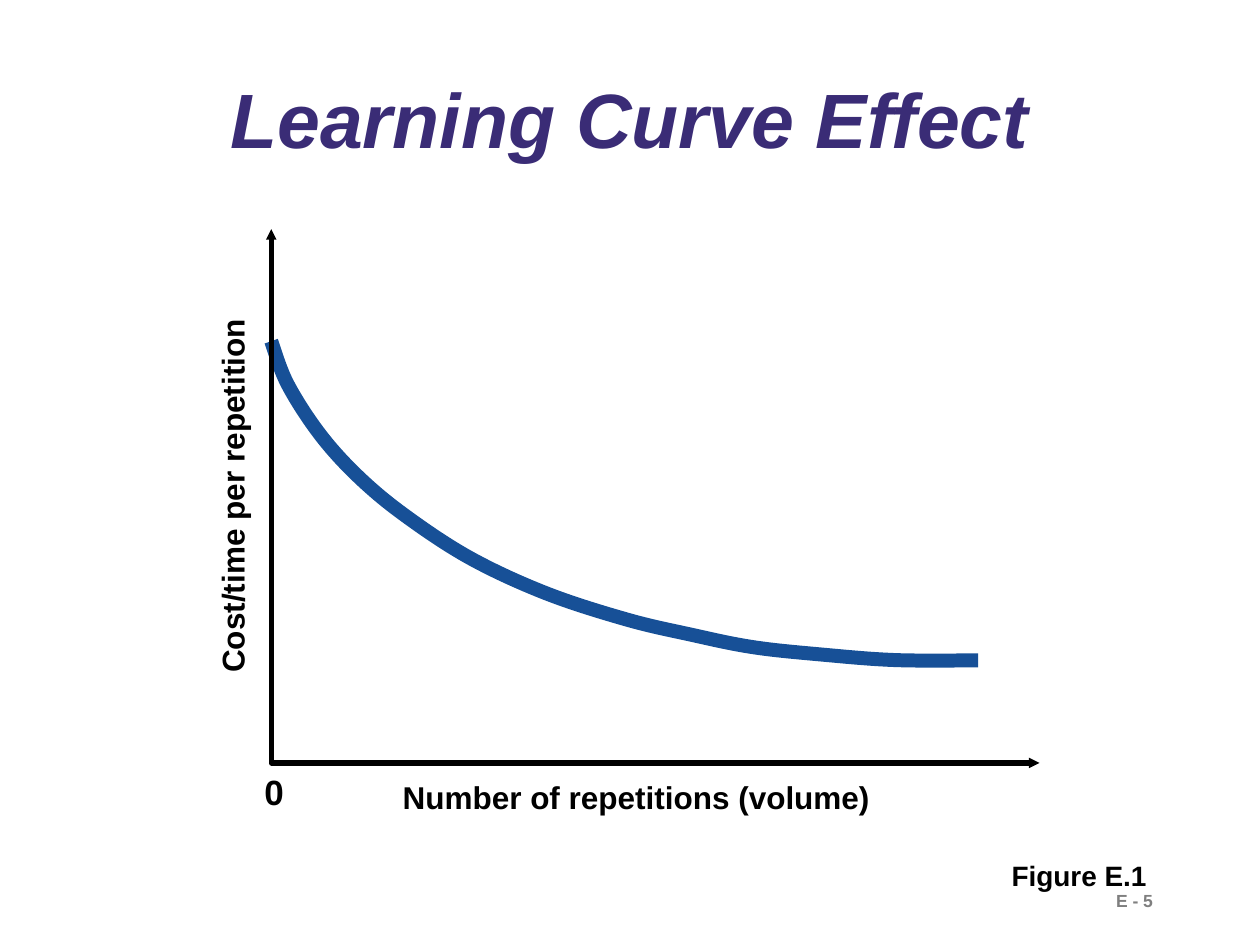
from dataclasses import dataclass

from lxml.etree import SubElement
from pptx import Presentation
from pptx.dml.color import RGBColor
from pptx.enum.text import MSO_ANCHOR, MSO_AUTO_SIZE, PP_ALIGN
from pptx.oxml.ns import qn
from pptx.util import Pt


@dataclass(frozen=True)
class Theme:
    """Colours, font and type sizes of the slide."""
    font: str = "Arial"
    ink: str = "000000"
    head: str = "3A2C76"
    curve: str = "175097"
    grey: str = "7F7F7F"
    title: int = 44
    zero: int = 20
    label: int = 18
    figure: int = 16
    page: int = 10


THEME = Theme()
KNOTS = [(0, 64), (9.4, 88.6), (28, 117.4), (50.4, 142), (77, 164), (113.8, 188),
         (157, 208), (203, 223), (239, 231.5), (275, 238.8), (314, 243),
         (356.4, 246.2), (404, 246.4)]


def write(shape, text, size, color=THEME.ink, italic=False, align=PP_ALIGN.LEFT):
    """Put one bold line of text into a shape."""
    para = shape.text_frame.paragraphs[0]
    para.alignment = align
    run = para.add_run()
    run.text = text
    font = run.font
    font.name, font.size = THEME.font, Pt(size)
    font.bold, font.italic = True, italic
    font.color.rgb = RGBColor.from_string(color)
    return para


def label(slide, box, text, size, color=THEME.ink, turn=0):
    """Add a one-line text box, of fixed size if it is turned."""
    shape = slide.shapes.add_textbox(*map(Pt, box))
    shape.rotation = turn
    frame = shape.text_frame
    frame.word_wrap = bool(turn)
    frame.auto_size = MSO_AUTO_SIZE.NONE if turn else MSO_AUTO_SIZE.SHAPE_TO_FIT_TEXT
    write(shape, text, size, color)


def trace(slide, box, points, color, width):
    """Draw an open line through points measured from the box corner."""
    spots = [(Pt(box[0] + x), Pt(box[1] + y)) for x, y in points]
    pen = slide.shapes.build_freeform(*spots[0])
    pen.add_line_segments(spots[1:], close=False)
    shape = pen.convert_to_shape()
    shape.shadow.inherit = False
    shape.fill.background()
    shape.line.color.rgb = RGBColor.from_string(color)
    shape.line.width = Pt(width)
    return shape


def spline(knots):
    """Return the knots with two smooth handles between each pair."""
    ends = [knots[0], *knots, knots[-1]]
    points = [knots[0]]
    for a, b, c, d in zip(ends, ends[1:], ends[2:], ends[3:]):
        points += [tuple(q + (r - p) / 6 for p, q, r in zip(a, b, c)),
                   tuple(r - (s - q) / 6 for q, r, s in zip(b, c, d)), c]
    return points


def bend(shape):
    """Turn each three straight steps of a line into one cubic curve."""
    track = next(shape.element.iter(qn("a:path")))
    steps = track.findall(qn("a:lnTo"))
    for i in range(0, len(steps), 3):
        cubic = SubElement(track, qn("a:cubicBezTo"))
        for step in steps[i:i + 3]:
            cubic.append(step[0])
            track.remove(step)


def tip(shape):
    """Put small arrowheads on both ends of a line."""
    line = next(shape.element.iter(qn("a:ln")))
    for end in ("a:headEnd", "a:tailEnd"):
        SubElement(line, qn(end), type="triangle", w="sm", len="sm")


def heading(slide, box):
    """Place and format the title."""
    title = slide.shapes.title
    title.left, title.top, title.width, title.height = map(Pt, box)
    title.text_frame.vertical_anchor = MSO_ANCHOR.MIDDLE
    para = write(title, "Learning Curve Effect", THEME.title, THEME.head,
                 italic=True, align=PP_ALIGN.CENTER)
    para.line_spacing = 0.9


def graph(slide, box):
    """Draw the curve, the axes and their labels."""
    left, top, width, height = box
    base = top + height
    bend(trace(slide, box, spline(KNOTS), THEME.curve, 8))
    tip(trace(slide, box, [(0, 0), (0, height), (width, height)], THEME.ink, 3))
    long, high = 230, 28.8
    label(slide, (left - 22.3 - long / 2, top + (height - high) / 2 - 7, long, high),
          "Cost/time per repetition", THEME.label, turn=270)
    label(slide, (left + 68, base + 4.8, 281.5, high),
          "Number of repetitions (volume)", THEME.label)
    label(slide, (left - 11, base + 0.9, 25.2, 31.7), "0", THEME.zero)


def footer(slide, box):
    """Place the figure number above the page number."""
    left, top, width, height = box
    label(slide, (left, top, 91.4, 26.6), "Figure E.1", THEME.figure)
    label(slide, (left + width - 77.8, top + height - 19.4, 77.8, 19.4),
          "E - 5", THEME.page, THEME.grey)


def main():
    """Build and save the slide."""
    deck = Presentation()
    deck.slide_width, deck.slide_height = Pt(720), Pt(540)
    slide = deck.slides.add_slide(deck.slide_layouts[5])
    heading(slide, (54, 33, 612, 75))
    graph(slide, (155, 131, 439, 305))
    footer(slide, (571, 487.2, 137.5, 37.4))
    deck.save("out.pptx")


if __name__ == "__main__":
    main()
